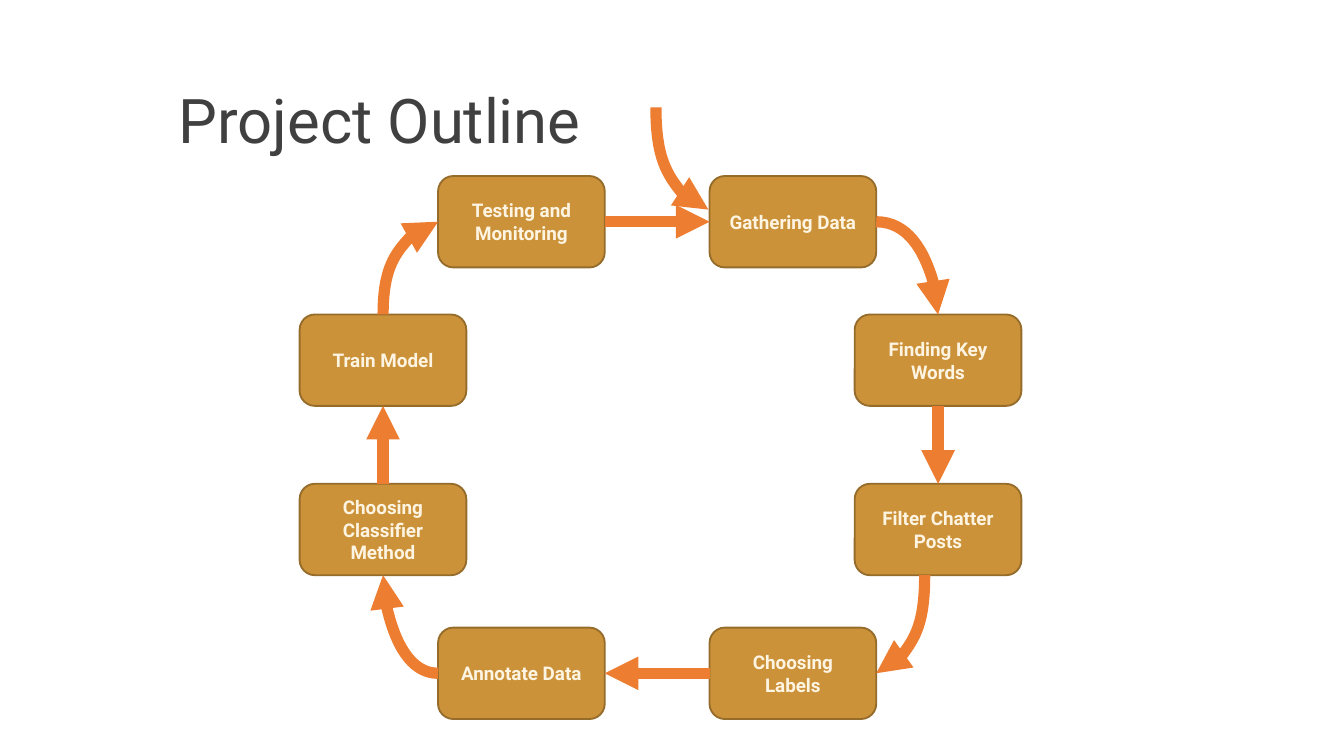
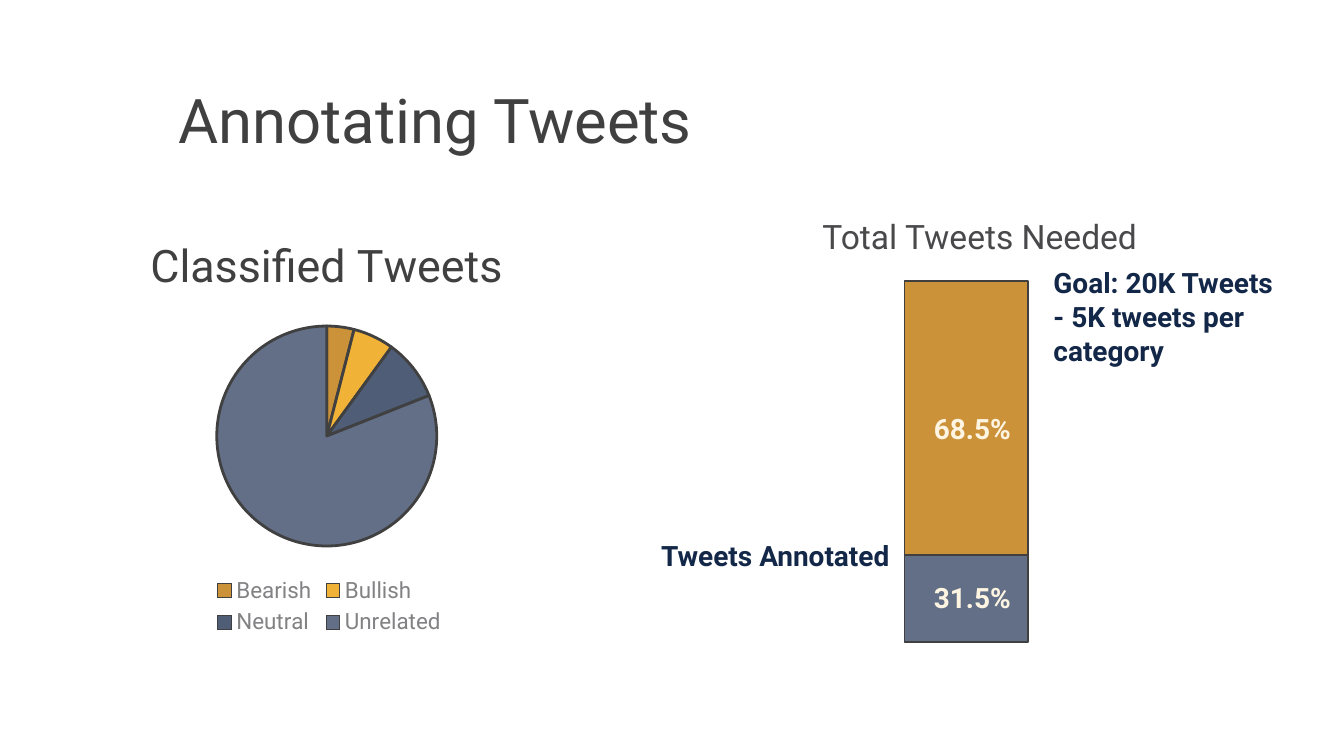
from lxml.etree import SubElement
from pptx import Presentation
from pptx.chart.data import CategoryChartData
from pptx.dml.color import RGBColor
from pptx.enum.chart import XL_CHART_TYPE, XL_LEGEND_POSITION
from pptx.enum.shapes import MSO_CONNECTOR, MSO_SHAPE
from pptx.enum.text import MSO_ANCHOR, PP_ALIGN
from pptx.oxml.ns import qn
from pptx.util import Inches, Pt

FONT = "Roboto"
HUES = {
    "ink": "404041", "head": "49494B", "navy": "132748", "cream": "FEF4E2",
    "gold": "CB923A", "edge": "966C2B", "arrow": "ED7D31", "amber": "F1B337",
    "slate": "4F5D76", "steel": "626F87", "key": "828284",
}
TOP, LEFT, BOTTOM, RIGHT = range(4)
STEPS = [
    ("Gathering Data", 2, 0), ("Finding Key Words", 3, 1),
    ("Filter Chatter Posts", 3, 2), ("Choosing Labels", 2, 3),
    ("Annotate Data", 1, 3), ("Choosing Classifier Method", 0, 2),
    ("Train Model", 0, 1), ("Testing and Monitoring", 1, 0),
]
COLS = [0, 1.03, 3.05, 4.13]
ROWS = [0, 1.03, 2.29, 3.36]
SHARES = [("Bearish", 4, "gold"), ("Bullish", 6, "amber"),
          ("Neutral", 9, "slate"), ("Unrelated", 81, "steel")]


def hue(name):
    return RGBColor.from_string(HUES[name])


def style(font, size, tone, bold=False):
    font.name, font.size, font.bold = FONT, Pt(size), bold
    font.color.rgb = hue(tone)


def write(shape, lines, size, tone, bold=False, align=PP_ALIGN.LEFT):
    frame = shape.text_frame
    frame.word_wrap = True
    frame.text = "\n".join(lines)
    for para in frame.paragraphs:
        para.alignment = align
        style(para.font, size, tone, bold)
    return frame


def label(slide, box, lines, size, tone, bold=True, align=PP_ALIGN.LEFT):
    shape = slide.shapes.add_textbox(*map(Inches, box))
    return write(shape, lines, size, tone, bold, align)


def title(slide, text):
    frame = label(slide, (1.23, 0.58, 8.62, 0.68), [text], 33, "ink", False)
    frame.vertical_anchor = MSO_ANCHOR.MIDDLE
    frame.paragraphs[0].line_spacing = 0.9


def block(slide, kind, box, fill, edge):
    shape = slide.shapes.add_shape(kind, *map(Inches, box))
    shape.shadow.inherit = False
    shape.fill.solid()
    shape.fill.fore_color.rgb = hue(fill)
    shape.line.color.rgb = hue(edge)
    shape.line.width = Pt(1)
    return shape


def arrow(slide, kind=MSO_CONNECTOR.STRAIGHT):
    line = slide.shapes.add_connector(kind, 0, 0, 0, 0)
    line.line.color.rgb = hue("arrow")
    line.line.width = Pt(6)
    SubElement(line.line._get_or_add_ln(), qn("a:tailEnd"), type="triangle")
    SubElement(line._element.spPr, qn("a:effectLst"))
    return line


def link(slide, start, out, end, into):
    line = arrow(slide)
    line.begin_connect(start, out)
    line.end_connect(end, into)


def port(box, side):
    x = {LEFT: 0, RIGHT: box.width}.get(side, box.width // 2)
    y = {TOP: 0, BOTTOM: box.height}.get(side, box.height // 2)
    return box.left + x, box.top + y


def bend(slide, start, end, turn=0, flips="", joins=()):
    line = arrow(slide, MSO_CONNECTOR.CURVE)
    for box, side, first in joins:
        join = line.begin_connect if first else line.end_connect
        join(box, side)
    wide, high = abs(end[0] - start[0]), abs(end[1] - start[1])
    if turn in (90, 270):
        wide, high = high, wide
    line.left = (start[0] + end[0] - wide) // 2
    line.top = (start[1] + end[1] - high) // 2
    line.width, line.height = wide, high
    form = line._element.spPr.find(qn("a:xfrm"))
    for key in ("flipH", "flipV"):
        form.set(key, "1" if key[-1] in flips else "0")
    form.set("rot", str(turn * 60000))
    shape = line._element.spPr.find(qn("a:prstGeom"))
    shape.set("prst", "curvedConnector2")


def cycle(slide, x, y):
    boxes = []
    for text, col, row in STEPS:
        box = block(slide, MSO_SHAPE.FLOWCHART_ALTERNATE_PROCESS,
                    (x + COLS[col], y + ROWS[row], 1.24, 0.68), "gold", "edge")
        frame = write(box, [text], 10.1, "cream", True, PP_ALIGN.CENTER)
        frame.vertical_anchor = MSO_ANCHOR.MIDDLE
        boxes.append(box)
    gather, find, sift, choose, note, method, train, test = boxes
    for ends in [(find, BOTTOM, sift, TOP), (choose, LEFT, note, RIGHT),
                 (method, TOP, train, BOTTOM), (test, RIGHT, gather, LEFT)]:
        link(slide, *ends)
    for start, out, end, into, turn, flips in [
        (gather, RIGHT, find, TOP, 0, ""),
        (note, LEFT, method, BOTTOM, 180, ""),
        (train, TOP, test, LEFT, 90, "HV"),
    ]:
        bend(slide, port(start, out), port(end, into), turn, flips,
             [(start, out, True), (end, into, False)])
    low = port(sift, BOTTOM)
    bend(slide, (low[0] - Inches(0.1), low[1]), port(choose, RIGHT), 90,
         joins=[(choose, RIGHT, False)])
    bend(slide, (Inches(x + 2.65), Inches(y - 0.51)),
         (Inches(x + 3.04), Inches(y + 0.25)), 270, "H")


def place(node, **spots):
    layout = node.find(qn("c:layout"))
    if layout is None:
        layout = node.makeelement(qn("c:layout"))
        if node.tag == qn("c:title"):
            node.find(qn("c:tx")).addnext(layout)
        else:
            node.insert(0, layout)
    for child in list(layout):
        layout.remove(child)
    manual = SubElement(layout, qn("c:manualLayout"))
    if "w" in spots:
        SubElement(manual, qn("c:layoutTarget"), val="inner")
    for key in ("x", "y"):
        SubElement(manual, qn(f"c:{key}Mode"), val="edge")
    for key, val in spots.items():
        SubElement(manual, qn(f"c:{key}"), val=str(val))


def pie(slide, box):
    data = CategoryChartData()
    data.categories = [name for name, _, _ in SHARES]
    data.add_series("Series 1", [val for _, val, _ in SHARES])
    chart = slide.shapes.add_chart(
        XL_CHART_TYPE.PIE, *map(Inches, box), data).chart
    style(chart.font, 10, "ink")
    chart.has_title = True
    frame = chart.chart_title.text_frame
    frame.text = "Classified Tweets"
    style(frame.paragraphs[0].font, 24, "ink")
    chart.has_legend = True
    chart.legend.position = XL_LEGEND_POSITION.BOTTOM
    chart.legend.include_in_layout = False
    style(chart.legend.font, 12, "key")
    plot = chart.plots[0]
    plot.vary_by_categories = True
    series = plot.series[0]
    series.format.line.color.rgb = hue("ink")
    series.format.line.width = Pt(0.75)
    for index, (_, _, tone) in enumerate(SHARES):
        part = series.points[index].format
        part.fill.solid()
        part.fill.fore_color.rgb = hue(tone)
        part.line.color.rgb = hue("ink")
        part.line.width = Pt(1.5)
    root = chart._chartSpace.chart
    place(root.find(qn("c:title")), x=0.12, y=0.04)
    place(root.plotArea, x=0.27, y=0.27, w=0.45, h=0.51)


def goal(slide, x, y):
    for top, high, tone in [(0.53, 2.68, "gold"), (2.57, 0.65, "steel")]:
        block(slide, MSO_SHAPE.RECTANGLE, (x + 1.91, y + top, 0.92, high),
              tone, "ink")
    label(slide, (x + 1.15, y, 2.64, 0.4), ["Total Tweets Needed"], 18,
          "head", False, PP_ALIGN.CENTER)
    for left, top, wide, high, lines, tone in [
        (2.92, 0.37, 2.26, 0.86,
         ["Goal: 20K Tweets", "- 5K tweets per category"], "navy"),
        (0, 2.4, 2.12, 0.35, ["Tweets Annotated"], "navy"),
        (2.03, 2.71, 2.12, 0.35, ["31.5%"], "cream"),
        (2.03, 1.45, 2.12, 0.35, ["68.5%"], "cream"),
    ]:
        label(slide, (x + left, y + top, wide, high), lines, 15, tone)


def main():
    deck = Presentation()
    deck.slide_width = Inches(10)
    deck.slide_height = deck.slide_width * 9 // 16
    blank = deck.slide_layouts[6]
    first = deck.slides.add_slide(blank)
    title(first, "Project Outline")
    cycle(first, 2.23, 1.31)
    second = deck.slides.add_slide(blank)
    title(second, "Annotating Tweets")
    pie(second, (0.62, 1.56, 3.66, 3.21))
    goal(second, 4.82, 1.56)
    deck.save("out.pptx")


if __name__ == "__main__":
    main()
